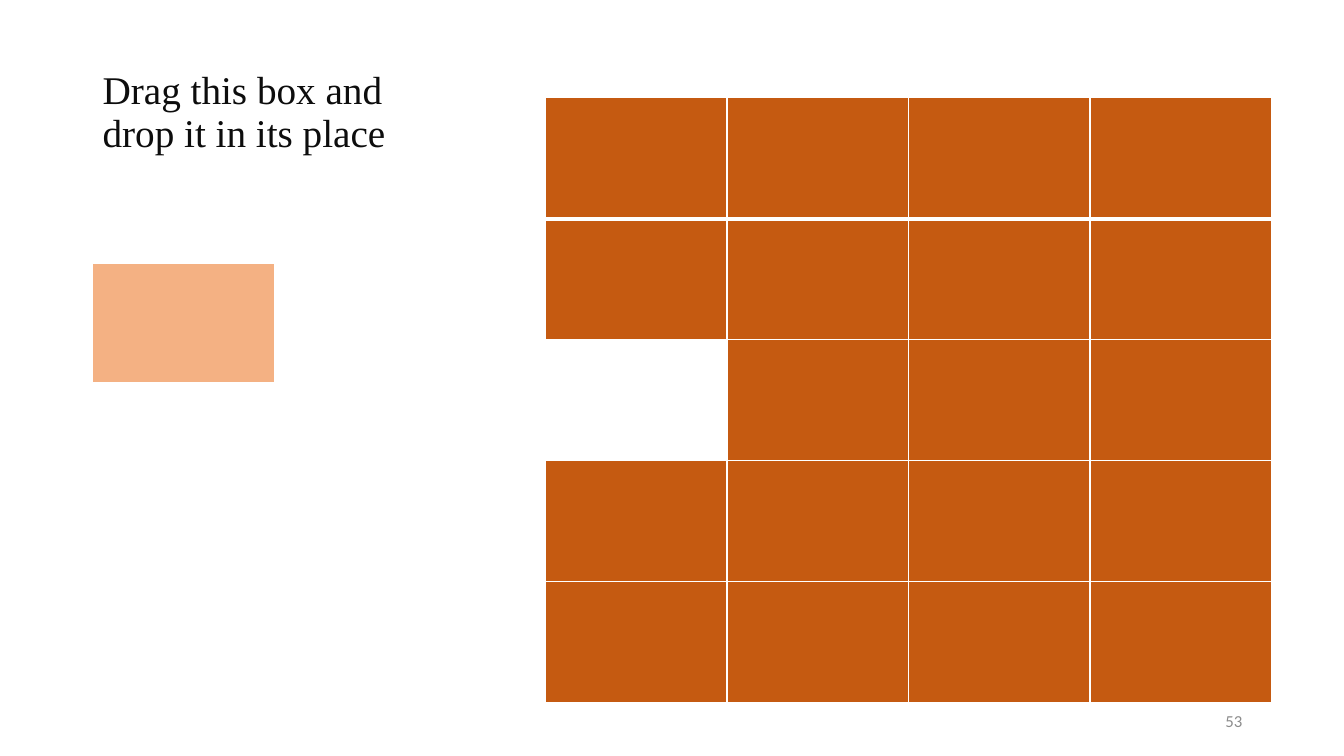
from dataclasses import dataclass

from lxml.etree import SubElement
from pptx import Presentation
from pptx.dml.color import RGBColor
from pptx.enum.text import MSO_ANCHOR, PP_ALIGN
from pptx.oxml import parse_xml
from pptx.oxml.ns import nsdecls
from pptx.util import Emu, Pt

EMU_PER_PX = 9144  # 100 px to the inch


@dataclass(frozen=True)
class Theme:
    ink: str = "0D0D0D"
    muted: str = "8C8C8C"
    tile: str = "C55A11"
    loose_tile: str = "F4B183"
    border: str = "FFFFFF"
    title_font: str = "Times New Roman"
    number_font: str = "Calibri"
    title_size: int = 28
    number_size: int = 12
    thin: int = 1
    thick: int = 3


THEME = Theme()
TILE_WIDTH, TILE_HEIGHT = 180, 120
GRID_ROWS, GRID_COLUMNS = 5, 4
GAP = (2, 0)


def px(length):
    return Emu(length * EMU_PER_PX)


def add_text(page, box, text, font, size, color, align=PP_ALIGN.LEFT, spacing=None):
    frame = page.shapes.add_textbox(*map(px, box)).text_frame
    frame.word_wrap = True
    frame.vertical_anchor = MSO_ANCHOR.MIDDLE
    frame.text = text
    para = frame.paragraphs[0]
    para.alignment = align
    para.line_spacing = spacing
    span = para.runs[0]
    span.font.name = font
    span.font.size = Pt(size)
    span.font.color.rgb = RGBColor.from_string(color)


def set_borders(cell, top, bottom):
    """Give the cell white edges; the sides are always thin."""
    properties = cell._tc.get_or_add_tcPr()
    edges = {"lnL": THEME.thin, "lnR": THEME.thin, "lnT": top, "lnB": bottom}
    for index, (edge, width) in enumerate(edges.items()):
        line = parse_xml(f'<a:{edge} {nsdecls("a")} w="{Pt(width)}"/>')
        fill = SubElement(line, f"{{{line.nsmap['a']}}}solidFill")
        SubElement(fill, f"{{{line.nsmap['a']}}}srgbClr", val=THEME.border)
        properties.insert(index, line)


def add_tiles(page, left, top, rows, columns, color, gap=None):
    """Draw a table of equal tiles, with a thick rule under its first row."""
    box = (left, top, columns * TILE_WIDTH, rows * TILE_HEIGHT)
    table = page.shapes.add_table(rows, columns, *map(px, box)).table
    table.first_row = table.horz_banding = False
    for row in range(rows):
        for column in range(columns):
            cell = table.cell(row, column)
            if (row, column) == gap:
                cell.fill.background()
            else:
                cell.fill.solid()
                cell.fill.fore_color.rgb = RGBColor.from_string(color)
            set_borders(
                cell,
                top=THEME.thick if row == 1 else THEME.thin,
                bottom=THEME.thick if row == 0 else THEME.thin,
            )


def build_puzzle(page):
    add_text(page, (92, 40, 363, 145), "Drag this box and drop it in its place",
             THEME.title_font, THEME.title_size, THEME.ink, spacing=0.9)
    add_tiles(page, 541, 97, GRID_ROWS, GRID_COLUMNS, THEME.tile, GAP)
    add_tiles(page, 92, 261, 1, 1, THEME.loose_tile)
    add_text(page, (942, 695, 300, 40), "53",
             THEME.number_font, THEME.number_size, THEME.muted, PP_ALIGN.RIGHT)


def main():
    deck = Presentation()
    deck.slide_width, deck.slide_height = px(1333), px(750)
    build_puzzle(deck.slides.add_slide(deck.slide_layouts[6]))
    deck.save("out.pptx")


if __name__ == "__main__":
    main()
